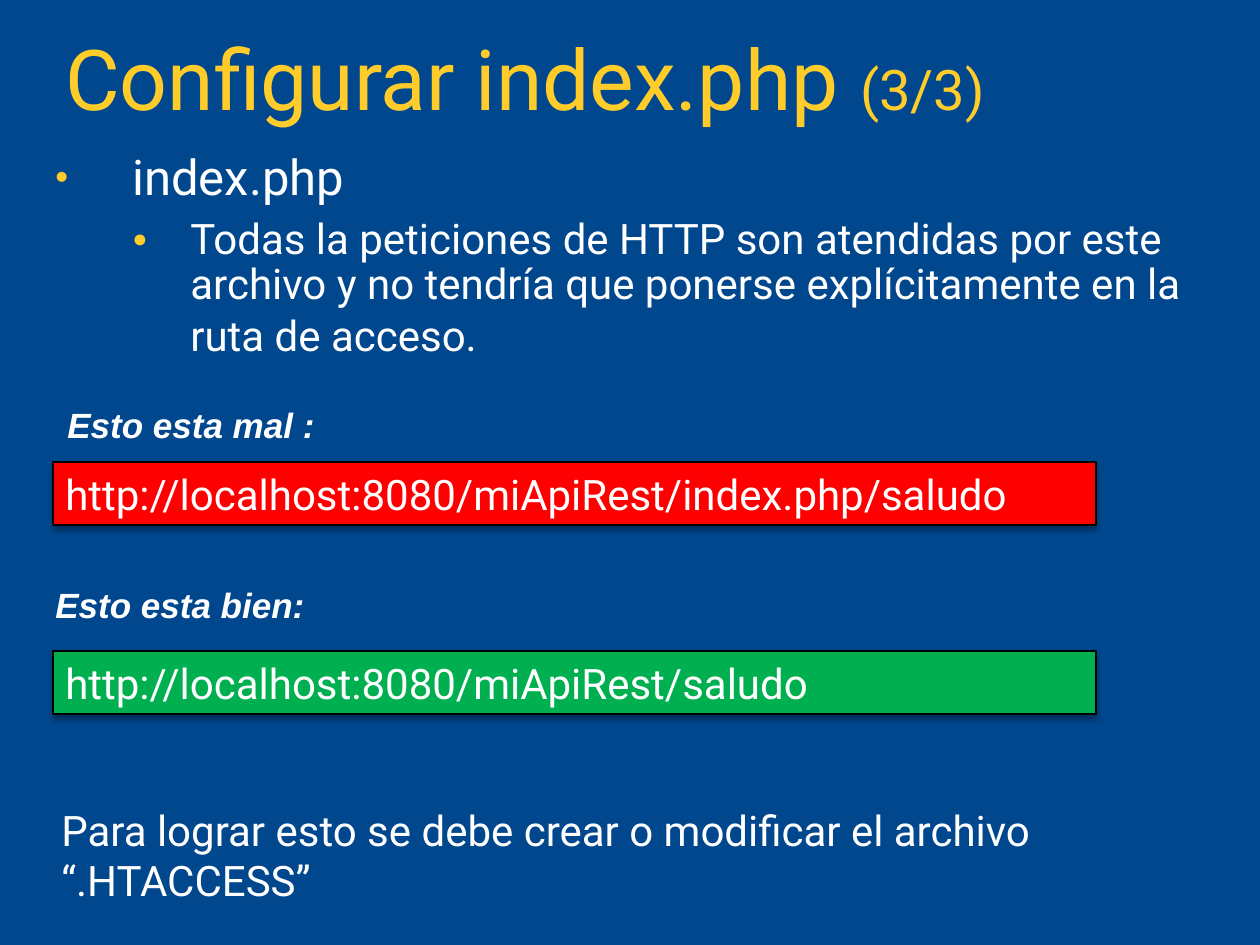
from dataclasses import dataclass

from lxml.etree import SubElement
from pptx import Presentation
from pptx.dml.color import RGBColor
from pptx.enum.shapes import MSO_SHAPE as Preset
from pptx.enum.text import MSO_ANCHOR as Anchor, PP_ALIGN as Align
from pptx.oxml.ns import qn
from pptx.util import Emu, Pt

EMU_PER_PX = 914400 / 126


@dataclass(frozen=True)
class Theme:
    background: str = "00478E"
    accent: str = "FFCC29"
    text: str = "FFFFFF"
    wrong: str = "FF0000"
    right: str = "00B050"
    line: str = "000000"
    font: str = "Roboto"
    label_font: str = "Arial"
    title_size: int = 48
    counter_size: int = 32
    topic_size: int = 28
    body_size: int = 24
    label_size: int = 20


THEME = Theme()


@dataclass(frozen=True)
class Box:
    left: int
    top: int
    width: int
    height: int

    def lengths(self) -> list[Emu]:
        return [px(n) for n in (self.left, self.top, self.width, self.height)]


@dataclass(frozen=True)
class Span:
    text: str
    size: int
    color: str = THEME.text
    font: str = THEME.font
    emphasis: bool = False


@dataclass(frozen=True)
class Bullet:
    character: str
    percent: int
    level: int
    margin: int
    hanging: int
    spans: tuple[Span, ...]


@dataclass(frozen=True)
class Example:
    label: str
    label_box: Box
    address: str
    address_box: Box
    fill: str


def px(length: int) -> Emu:
    return Emu(round(length * EMU_PER_PX))


def rgb(color: str) -> RGBColor:
    return RGBColor.from_string(color)


def add_spans(paragraph, *spans: Span) -> None:
    for span in spans:
        run = paragraph.add_run()
        run.text = span.text
        run.font.name = span.font
        run.font.size = Pt(span.size)
        run.font.color.rgb = rgb(span.color)
        if span.emphasis:
            run.font.bold = run.font.italic = True


def add_text(slide, box: Box, *spans: Span):
    frame = slide.shapes.add_textbox(*box.lengths()).text_frame
    frame.word_wrap = True
    add_spans(frame.paragraphs[0], *spans)
    return frame


def format_bullet(paragraph, bullet: Bullet) -> None:
    paragraph.level = bullet.level
    paragraph.line_spacing = 0.9
    properties = paragraph._p.get_or_add_pPr()
    properties.set("marL", str(px(bullet.margin)))
    properties.set("indent", str(-px(bullet.hanging)))
    # Space before is relative to the type size
    space = SubElement(properties, qn("a:spcBef"))
    SubElement(space, qn("a:spcPct"), val="25000")
    color = SubElement(properties, qn("a:buClr"))
    SubElement(color, qn("a:srgbClr"), val=THEME.accent)
    SubElement(properties, qn("a:buSzPct"), val=str(bullet.percent * 1000))
    SubElement(properties, qn("a:buFont"), typeface=THEME.label_font)
    SubElement(properties, qn("a:buChar"), char=bullet.character)


def add_bullets(slide, box: Box, bullets: list[Bullet]) -> None:
    frame = add_text(slide, box)
    for index, bullet in enumerate(bullets):
        paragraph = frame.add_paragraph() if index else frame.paragraphs[0]
        format_bullet(paragraph, bullet)
        add_spans(paragraph, *bullet.spans)


def add_soft_shadow(shape) -> None:
    shape.shadow.inherit = False
    effects = shape._element.spPr.find(qn("a:effectLst"))
    shadow = SubElement(effects, qn("a:outerShdw"), blurRad=str(Pt(3.1)),
                        dist=str(Pt(1.8)), dir="5400000", rotWithShape="0")
    color = SubElement(shadow, qn("a:srgbClr"), val=THEME.line)
    SubElement(color, qn("a:alpha"), val="35000")


def add_example(slide, example: Example) -> None:
    add_text(slide, example.label_box,
             Span(example.label, THEME.label_size, font=THEME.label_font, emphasis=True))
    shape = slide.shapes.add_shape(Preset.RECTANGLE, *example.address_box.lengths())
    shape.fill.solid()
    shape.fill.fore_color.rgb = rgb(example.fill)
    shape.line.color.rgb = rgb(THEME.line)
    shape.line.width = Pt(0.75)
    add_soft_shadow(shape)
    frame = shape.text_frame
    frame.word_wrap = True
    frame.vertical_anchor = Anchor.TOP
    frame.paragraphs[0].alignment = Align.LEFT
    add_spans(frame.paragraphs[0], Span(example.address, THEME.body_size))


BULLETS = [
    Bullet("•", 75, 0, 77, 77, (Span("index.php", THEME.topic_size),)),
    Bullet("●", 60, 1, 135, 58, (
        Span("Todas la peticiones de HTTP son atendidas por este archivo y no "
             "tendría que ponerse explícitamente en la ruta de acceso.", THEME.body_size),
        Span(" ", THEME.topic_size),
    )),
]

EXAMPLES = [
    Example("Esto esta mal :", Box(55, 397, 1085, 55),
            "http://localhost:8080/miApiRest/index.php/saludo",
            Box(53, 462, 1043, 63), THEME.wrong),
    Example("Esto esta bien:", Box(43, 577, 1085, 55),
            "http://localhost:8080/miApiRest/saludo",
            Box(53, 651, 1043, 63), THEME.right),
]


def main() -> None:
    presentation = Presentation()
    presentation.slide_width, presentation.slide_height = px(1260), px(945)
    slide = presentation.slides.add_slide(presentation.slide_layouts[6])
    slide.background.fill.solid()
    slide.background.fill.fore_color.rgb = rgb(THEME.background)

    # Title with its page counter
    title = add_text(slide, Box(53, 31, 1157, 105),
                     Span("Configurar index.php ", THEME.title_size, THEME.accent),
                     Span("(3/3)", THEME.counter_size, THEME.accent))
    title.vertical_anchor = Anchor.MIDDLE
    title.paragraphs[0].line_spacing = 0.9

    # Explanation
    add_bullets(slide, Box(43, 147, 1217, 224), BULLETS)

    # Wrong and right addresses
    for example in EXAMPLES:
        add_example(slide, example)

    # Closing remark
    add_text(slide, Box(49, 798, 1211, 63),
             Span("Para lograr esto se debe crear o modificar el archivo “.HTACCESS”",
                  THEME.body_size))

    presentation.save("out.pptx")


if __name__ == "__main__":
    main()
